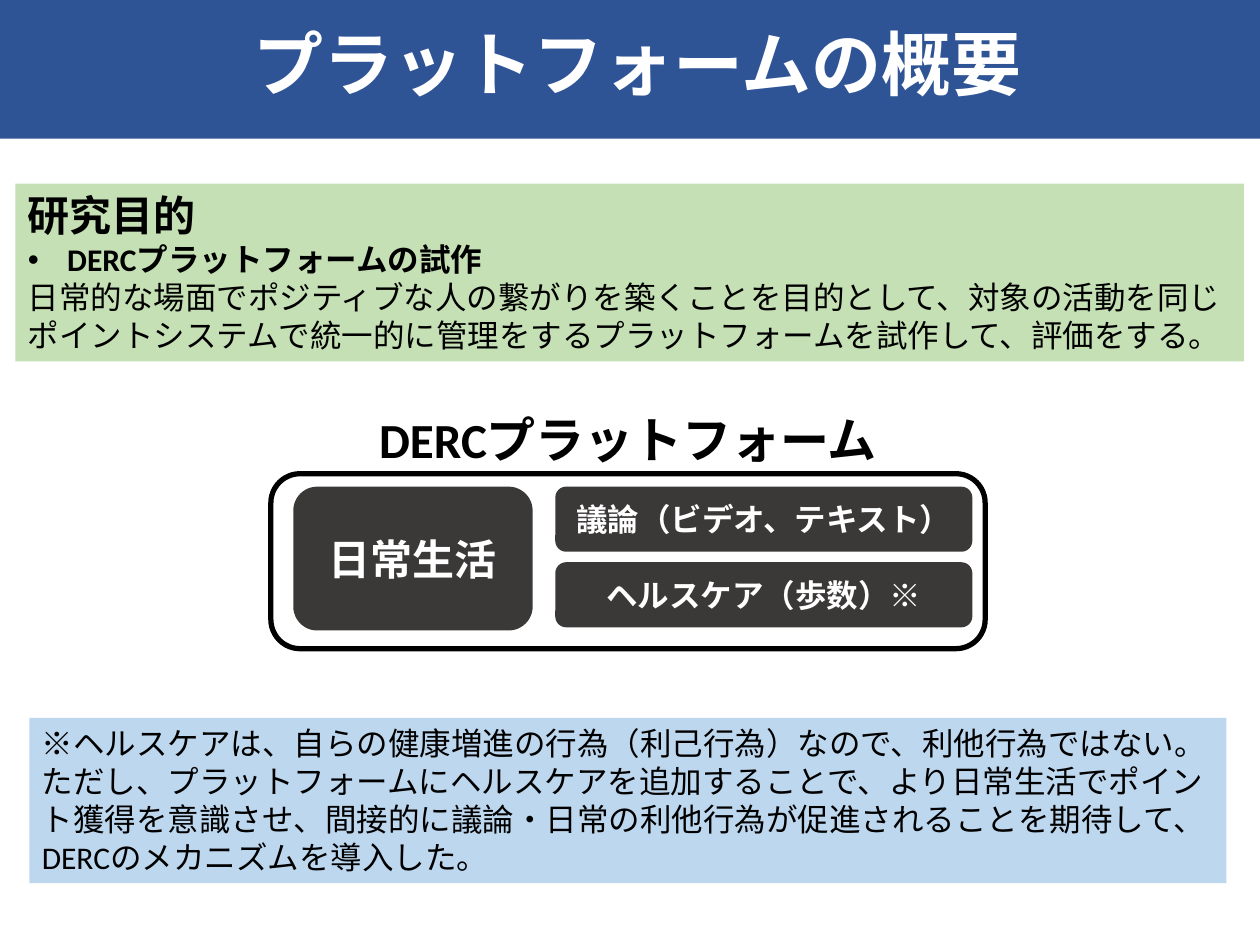
from lxml.etree import SubElement
from pptx import Presentation
from pptx.dml.color import RGBColor
from pptx.enum.shapes import MSO_SHAPE
from pptx.enum.text import MSO_ANCHOR, PP_ALIGN
from pptx.oxml.ns import qn
from pptx.util import Pt


def color(code):
    """Turn a hex string into a colour."""
    return RGBColor.from_string(code)


class Deck:
    """Hold the style and the current slide."""

    font = "Calibri"
    black, white = "000000", "FFFFFF"
    blue, green, sky, dark = "2F5496", "C5E0B4", "BDD7EE", "3B3838"

    def __init__(self, width, height):
        """Start a deck with one blank slide."""
        self.deck = Presentation()
        self.deck.slide_width, self.deck.slide_height = Pt(width), Pt(height)
        self.slide = self.deck.slides.add_slide(self.deck.slide_layouts[6])

    def shape(self, kind, area, fill=None, line=None):
        """Add a preset shape with an optional fill and line."""
        item = self.slide.shapes.add_shape(kind, *map(Pt, area))
        item.shadow.inherit = False
        if fill:
            item.fill.solid()
            item.fill.fore_color.rgb = color(fill)
        else:
            item.fill.background()
        if line:
            item.line.color.rgb = color(line)
            item.line.width = Pt(3)
        else:
            item.line.fill.background()
        return item

    def style(self, para, text, size, ink, bold=False, align=PP_ALIGN.LEFT, bullet=False):
        """Fill one paragraph with styled text."""
        para.text = text
        para.alignment = align
        if bullet:
            props = para._p.get_or_add_pPr()
            props.set("marL", str(Pt(22.5)))
            props.set("indent", str(Pt(-22.5)))
            SubElement(props, qn("a:buFont")).set("typeface", "Arial")
            SubElement(props, qn("a:buChar")).set("char", "•")
        para.font.name, para.font.size, para.font.bold = self.font, Pt(size), bold
        para.font.color.rgb = color(ink)

    def block(self, kind, area, fill, text, size):
        """Add a filled shape with a centred white label."""
        frame = self.shape(kind, area, fill).text_frame
        frame.word_wrap = True
        frame.vertical_anchor = MSO_ANCHOR.MIDDLE
        self.style(frame.paragraphs[0], text, size, self.white, True, PP_ALIGN.CENTER)

    def panel(self, area, fill, rows):
        """Add a filled panel of (text, size, bold, bullet) rows."""
        frame = self.shape(MSO_SHAPE.RECTANGLE, area, fill).text_frame
        frame.word_wrap = True
        frame.vertical_anchor = MSO_ANCHOR.TOP
        for num, (text, size, bold, bullet) in enumerate(rows):
            para = frame.add_paragraph() if num else frame.paragraphs[0]
            self.style(para, text, size, self.black, bold, bullet=bullet)

    def label(self, area, text, size):
        """Add a centred bold text box."""
        frame = self.slide.shapes.add_textbox(*map(Pt, area)).text_frame
        frame.word_wrap = True
        self.style(frame.paragraphs[0], text, size, self.black, True, PP_ALIGN.CENTER)


def main():
    """Build the slide and save it."""
    deck = Deck(720, 540)
    box, card = MSO_SHAPE.RECTANGLE, MSO_SHAPE.ROUNDED_RECTANGLE
    deck.block(box, (-32.4, -8, 793.4, 87.2), deck.blue, "プラットフォームの概要", 40)
    deck.panel((8.8, 105, 702, 101.5), deck.green, [
        ("研究目的", 24, True, False),
        ("DERCプラットフォームの試作", 18, True, True),
        ("日常的な場面でポジティブな人の繋がりを築くことを目的として、対象の活動を同じ"
         "ポイントシステムで統一的に管理をするプラットフォームを試作して、評価をする。",
         18, False, False),
    ])
    deck.panel((16.8, 410.3, 684, 94.4), deck.sky, [
        ("※ヘルスケアは、自らの健康増進の行為（利己行為）なので、利他行為ではない。",
         18, False, False),
        ("ただし、プラットフォームにヘルスケアを追加することで、より日常生活でポイント"
         "獲得を意識させ、間接的に議論・日常の利他行為が促進されることを期待して、"
         "DERCのメカニズムを導入した。", 18, False, False),
    ])

    left, top, width = 154.8, 270.7, 408.2
    deck.shape(card, (left, top, width, 100), line=deck.black)
    deck.label((left, top - 40.5, width, 41), "DERCプラットフォーム", 28)
    first = top + 7.4
    deck.block(card, (167.6, first, 136.8, 82.2), deck.dark, "日常生活", 24)
    for row, text in enumerate(("議論（ビデオ、テキスト）", "ヘルスケア（歩数）※")):
        deck.block(card, (317.3, first + row * 43.2, 238.3, 37.2), deck.dark, text, 18)
    deck.deck.save("out.pptx")


if __name__ == "__main__":
    main()
